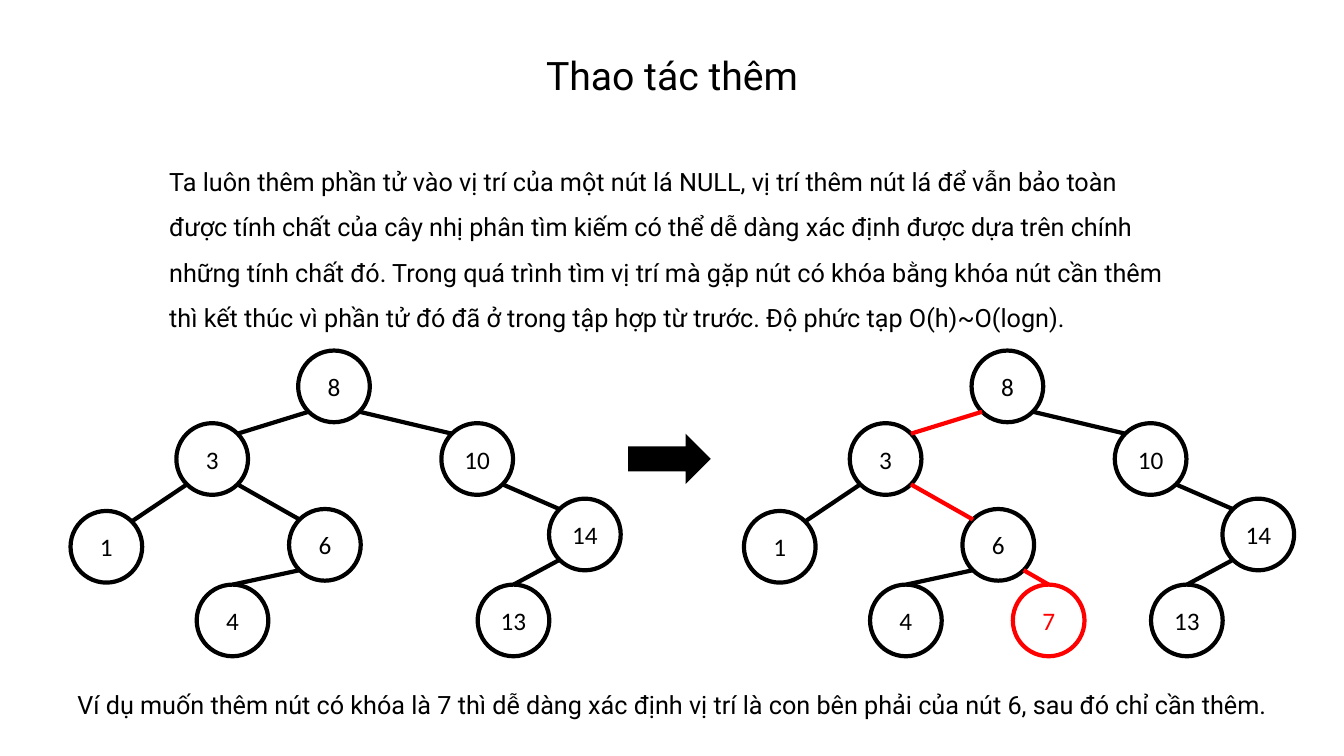
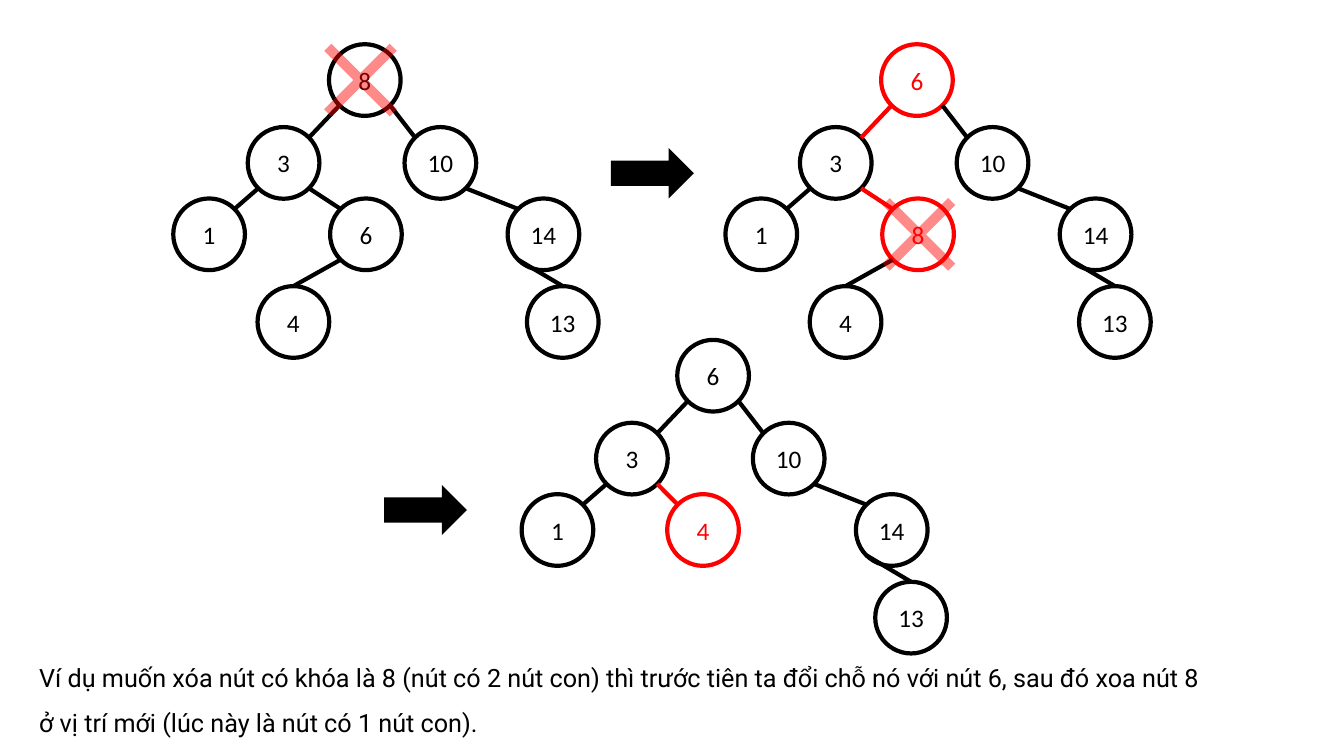
import pptx
import pptx.dml.color
import pptx.enum.shapes
import pptx.enum.text
import pptx.oxml.ns
import pptx.util
from lxml import etree

Pt = pptx.util.Pt
SHAPES = pptx.enum.shapes.MSO_SHAPE
CENTER = pptx.enum.text.PP_ALIGN.CENTER
LEFT = pptx.enum.text.PP_ALIGN.LEFT

BLACK = pptx.dml.color.RGBColor(0x00, 0x00, 0x00)
WHITE = pptx.dml.color.RGBColor(0xFF, 0xFF, 0xFF)
RED = pptx.dml.color.RGBColor(0xFF, 0x00, 0x00)

NODE_SIZE = 51.2
CORNER = NODE_SIZE * (1 - 0.5 ** 0.5) / 2
ARROW_SIZE = (59.2, 36)
CROSS_SIZE = 90

PARENTS = {
    "10": ("root", "right"),
    "3": ("root", "left"),
    "1": ("3", "left"),
    "6": ("3", "right"),
    "14": ("10", "right"),
    "13": ("14", "left"),
    "4": ("6", "left"),
    "7": ("6", "right"),
}
LEAVES_JOINED_AT_TOP = ("13", "4", "7")

WIDE_LAYOUT = {
    "root": (0, 0), "10": (102.3, 51.9), "3": (-87, 51.9),
    "1": (-162.6, 114.6), "6": (-6.5, 113.2), "14": (179.2, 105.8),
    "13": (128.2, 167.2), "4": (-72.5, 167.2),
}
WIDE_LAYOUT_WITH_7 = {**WIDE_LAYOUT, "7": (29.5, 167.2)}
NARROW_LAYOUT = {
    "root": (0, 0), "10": (54, 59.2), "3": (-58, 59.2),
    "1": (-111.2, 110.2), "6": (0.8, 110.2), "14": (127.6, 110.2),
    "13": (141.4, 172.8), "4": (-51, 172.8),
}
NARROW_LAYOUT_AFTER_REMOVAL = {
    **{slot: place for slot, place in NARROW_LAYOUT.items() if slot != "4"},
    "6": (-7.2, 110.2),
}

SLIDES = [
    {
        "texts": [
            ("Thao tác thêm", (0, 33.1, 960, 41), 28, CENTER, 1),
            ("Ta luôn thêm phần tử vào vị trí của một nút lá NULL, vị trí thêm nút lá "
             "để vẫn bảo toàn được tính chất của cây nhị phân tìm kiếm có thể dễ dàng "
             "xác định được dựa trên chính những tính chất đó. Trong quá trình tìm vị trí "
             "mà gặp nút có khóa bằng khóa nút cần thêm thì kết thúc vì phần tử đó đã ở "
             "trong tập hợp từ trước. Độ phức tạp O(h)~O(logn).",
             (113.8, 104.4, 731.5, 134.6), 18, LEFT, 1.5),
            ("Ví dụ muốn thêm nút có khóa là 7 thì dễ dàng xác định vị trí là con bên phải "
             "của nút 6, sau đó chỉ cần thêm.", (48.2, 478.1, 905, 36), 18, LEFT, 1.5),
        ],
        "trees": [
            {"at": (213, 250.4), "layout": WIDE_LAYOUT, "keys": {"root": "8"}},
            {"at": (694, 250.4), "layout": WIDE_LAYOUT_WITH_7, "keys": {"root": "8"},
             "red_nodes": ("7",), "red_edges": ("3", "6", "7")},
        ],
        "arrows": [(448.6, 309.8)],
        "crosses": [],
    },
    {
        "texts": [
            ("Ví dụ muốn xóa nút có khóa là 8 (nút có 2 nút con) thì trước tiên ta đổi chỗ "
             "nó với nút 6, sau đó xoa nút 8 ở vị trí mới (lúc này là nút có 1 nút con).",
             (20.9, 458.6, 851.8, 69.1), 18, LEFT, 1.5),
        ],
        "trees": [
            {"at": (235, 31.6), "layout": NARROW_LAYOUT, "keys": {"root": "8"}},
            {"at": (629.4, 31.6), "layout": NARROW_LAYOUT, "keys": {"root": "6", "6": "8"},
             "red_nodes": ("root", "6"), "red_edges": ("3", "6")},
            {"at": (483.8, 242.8), "layout": NARROW_LAYOUT_AFTER_REMOVAL,
             "keys": {"root": "6", "6": "4"}, "red_nodes": ("6",), "red_edges": ("6",)},
        ],
        "arrows": [(436.4, 105.8), (274.4, 346.3)],
        "crosses": [(212.5, 12.2), (611.4, 122.4)],
    },
]


def style_paragraph(paragraph, font_name, size, color, alignment):
    paragraph.alignment = alignment
    paragraph.font.name = font_name
    paragraph.font.size = Pt(size)
    paragraph.font.color.rgb = color


def add_text(slide, text, box, size, alignment, line_spacing):
    frame = slide.shapes.add_textbox(*map(Pt, box)).text_frame
    frame.word_wrap = True
    frame.auto_size = pptx.enum.text.MSO_AUTO_SIZE.SHAPE_TO_FIT_TEXT
    paragraph = frame.paragraphs[0]
    paragraph.text = text
    paragraph.line_spacing = line_spacing
    style_paragraph(paragraph, "Roboto", size, BLACK, alignment)


def add_filled_shape(slide, kind, place, size, color):
    shape = slide.shapes.add_shape(kind, *map(Pt, (*place, *size)))
    shape.shadow.inherit = False
    shape.fill.solid()
    shape.fill.fore_color.rgb = color
    shape.line.fill.background()
    return shape


def add_node(slide, key, place, color):
    node = add_filled_shape(slide, SHAPES.OVAL, place, (NODE_SIZE, NODE_SIZE), WHITE)
    node.line.color.rgb = color
    node.line.width = Pt(3)
    node.text_frame.vertical_anchor = pptx.enum.text.MSO_ANCHOR.MIDDLE
    paragraph = node.text_frame.paragraphs[0]
    paragraph.text = key
    style_paragraph(paragraph, "Calibri", 18, color, CENTER)


def add_edge(slide, start, end, color):
    edge = slide.shapes.add_connector(
        pptx.enum.shapes.MSO_CONNECTOR.STRAIGHT, *map(Pt, (*start, *end)))
    edge.line.color.rgb = color
    edge.line.width = Pt(3)
    etree.SubElement(edge._element.spPr, pptx.oxml.ns.qn("a:effectLst"))


def add_tree(slide, at, layout, keys, red_nodes=(), red_edges=()):
    places = {slot: (at[0] + dx, at[1] + dy) for slot, (dx, dy) in layout.items()}
    for slot, place in places.items():
        add_node(slide, keys.get(slot, slot), place, RED if slot in red_nodes else BLACK)
    near, far = CORNER, NODE_SIZE - CORNER
    for slot, (parent, side) in PARENTS.items():
        if slot not in places:
            continue
        parent_x, parent_y = places[parent]
        child_x, child_y = places[slot]
        start = (parent_x + (near if side == "left" else far), parent_y + far)
        if slot in LEAVES_JOINED_AT_TOP:
            end = (child_x + NODE_SIZE / 2, child_y)
        else:
            end = (child_x + (far if side == "left" else near), child_y + near)
        add_edge(slide, start, end, RED if slot in red_edges else BLACK)


def add_cross(slide, place):
    cross = add_filled_shape(slide, SHAPES.MATH_MULTIPLY, place, (CROSS_SIZE, CROSS_SIZE), RED)
    cross.adjustments[0] = 0.08
    color = cross._element.spPr.find(".//" + pptx.oxml.ns.qn("a:srgbClr"))
    etree.SubElement(color, pptx.oxml.ns.qn("a:alpha"), val="46000")


presentation = pptx.Presentation()
presentation.slide_width = Pt(960)
presentation.slide_height = Pt(540)

for content in SLIDES:
    slide = presentation.slides.add_slide(presentation.slide_layouts[6])
    for text in content["texts"]:
        add_text(slide, *text)
    for tree in content["trees"]:
        add_tree(slide, **tree)
    for place in content["arrows"]:
        add_filled_shape(slide, SHAPES.RIGHT_ARROW, place, ARROW_SIZE, BLACK)
    for place in content["crosses"]:
        add_cross(slide, place)

presentation.save("out.pptx")
